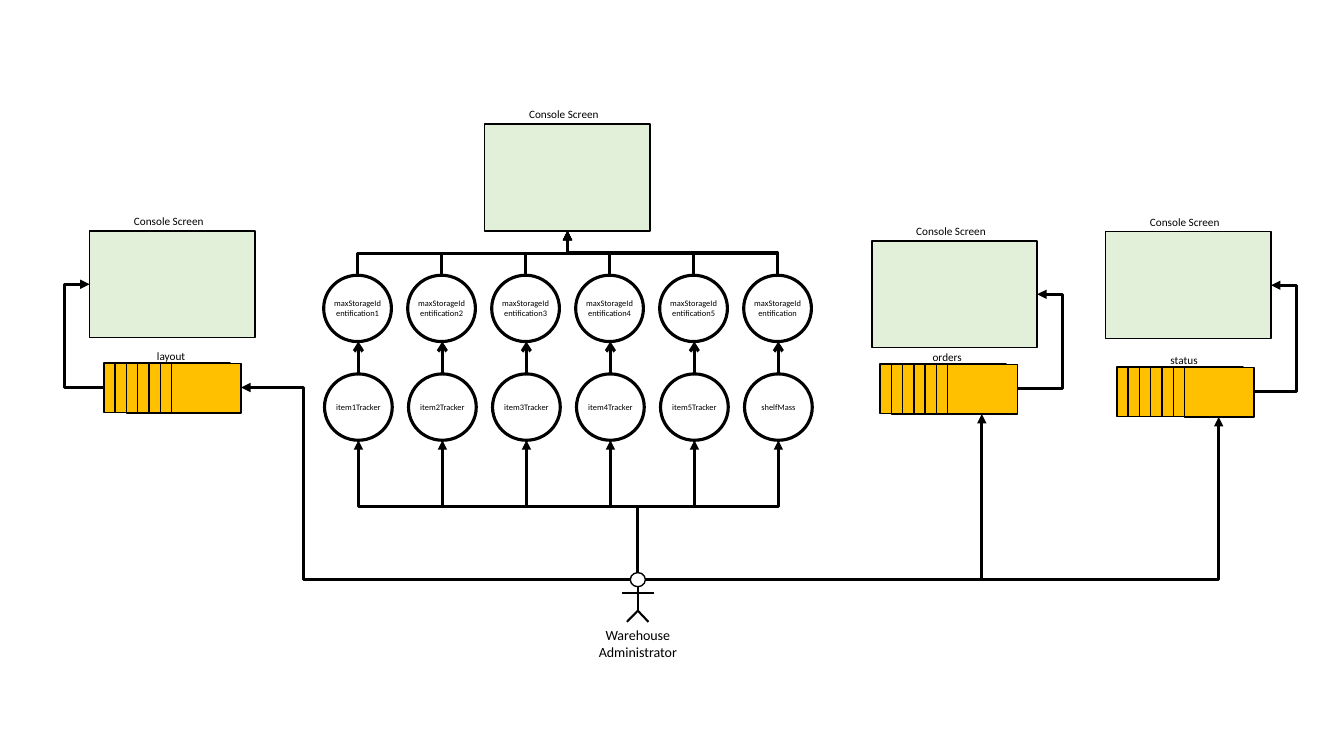
from dataclasses import dataclass

from lxml import etree
from pptx import Presentation
from pptx.dml.color import RGBColor
from pptx.enum import shapes, text
from pptx.oxml import ns
from pptx.util import Pt

BLACK = RGBColor(0x00, 0x00, 0x00)
AMBER = RGBColor(0xFF, 0xC0, 0x00)
PALE_GREEN = RGBColor(0xE2, 0xF0, 0xD9)
FONT = "Calibri"
RECTANGLE = shapes.MSO_SHAPE.RECTANGLE
OVAL = shapes.MSO_SHAPE.OVAL
Point = tuple[float, float]

SCREEN_WIDTH, SCREEN_HEIGHT = 118.1, 76.3
CARD_STEP, CARD_HEIGHT = 8.06, 35.3
CARD_WIDTHS = (62.6, 49.7, 62.6, 49.7, 49.7, 49.7, 49.7)
QUEUE_WIDTH = 6 * CARD_STEP + CARD_WIDTHS[-1]
CIRCLE_WIDTH, CIRCLE_HEIGHT = 48.4, 47.4
COLUMN_STEP = 60
MAXIMUM_TOP, TRACKER_TOP = 196.6, 267.1
THICK = 2.25


@dataclass(frozen=True)
class Station:
    name: str
    queue: Point
    screen: Point
    lowered_cards: tuple[int, ...]
    side: int  # side on which the queue feeds its screen: -1 left, 1 right


@dataclass(frozen=True)
class Column:
    tracker: str
    maximum: str


STATIONS = (
    Station("layout", (74.2, 259.2), (64.1, 164.9), (2, 6), -1),
    Station("status", (797.8, 262.1), (789.8, 165.6), (6,), 1),
    Station("orders", (628.6, 260), (622.8, 172.1), (1, 2, 4, 6), 1),
)
COLUMNS = [Column(f"item{n}Tracker", f"maxStorageIdentification{n}") for n in range(1, 6)]
COLUMNS.append(Column("shelfMass", "maxStorageIdentification"))

deck = Presentation()
deck.slide_width, deck.slide_height = Pt(960), Pt(540)
page = deck.slides.add_slide(deck.slide_layouts[6])


def add_label(words: str, left: float, top: float, width: float, height: float, size: float) -> None:
    box = page.shapes.add_textbox(Pt(left), Pt(top), Pt(width), Pt(height))
    box.text_frame.word_wrap = True
    para = box.text_frame.paragraphs[0]
    para.text = words
    para.alignment = text.PP_ALIGN.CENTER
    para.font.name, para.font.size = FONT, Pt(size)
    para.font.color.rgb = BLACK


def add_outline(kind, left: float, top: float, width: float, height: float,
                weight: float = 1, fill: RGBColor | None = None) -> None:
    shape = page.shapes.add_shape(kind, Pt(left), Pt(top), Pt(width), Pt(height))
    shape.shadow.inherit = False
    if fill is None:
        shape.fill.background()
    else:
        shape.fill.solid()
        shape.fill.fore_color.rgb = fill
    shape.line.color.rgb = BLACK
    shape.line.width = Pt(weight)


def add_line(start: Point, end: Point, weight: float = THICK, arrow: str | None = None,
             kind=shapes.MSO_CONNECTOR.STRAIGHT):
    line = page.shapes.add_connector(kind, *(Pt(value) for value in (*start, *end)))
    line.line.color.rgb = BLACK
    line.line.width = Pt(weight)
    properties = line.element.spPr
    if arrow:
        etree.SubElement(properties.find(ns.qn("a:ln")), ns.qn("a:tailEnd"), type=arrow)
    etree.SubElement(properties, ns.qn("a:effectLst"))
    return line


def add_elbow(start: Point, end: Point, bend: float | None = None):
    """Leave sideways, turning at the x position bend."""
    line = add_line(start, end, arrow="triangle", kind=shapes.MSO_CONNECTOR.ELBOW)
    if bend is not None:
        share = (bend - start[0]) / (end[0] - start[0])
        guides = line.element.spPr.find(f".//{ns.qn('a:avLst')}")
        etree.SubElement(guides, ns.qn("a:gd"), name="adj1", fmla=f"val {round(share * 100000)}")
    return line


def add_corner(start: Point, end: Point) -> None:
    """Leave sideways and turn once, straight to the end."""
    geometry = add_elbow(start, end).element.spPr.find(ns.qn("a:prstGeom"))
    geometry.set("prst", "bentConnector2")


def add_riser(start: Point, end: Point) -> None:
    """Leave upwards, turning halfway: an elbow rotated by 270 degrees."""
    middle_x, middle_y = (start[0] + end[0]) / 2, (start[1] + end[1]) / 2
    half_rise, half_run = (start[1] - end[1]) / 2, (end[0] - start[0]) / 2
    line = add_elbow((middle_x - half_rise, middle_y - half_run),
                     (middle_x + half_rise, middle_y + half_run))
    line.element.spPr.find(ns.qn("a:xfrm")).set("rot", "16200000")


def add_screen(left: float, top: float) -> None:
    add_outline(RECTANGLE, left, top, SCREEN_WIDTH, SCREEN_HEIGHT, fill=PALE_GREEN)
    add_label("Console Screen", left - 4, top - 15.5, 121, 17, 8)


def add_station(station: Station) -> None:
    left, top = station.queue
    for index, width in enumerate(CARD_WIDTHS):
        drop = 0.5 if index in station.lowered_cards else 0
        add_outline(RECTANGLE, left + index * CARD_STEP, top + drop, width, CARD_HEIGHT, fill=AMBER)
    add_label(station.name, left - 12.5, top - 13, 121, 17, 8)
    add_screen(*station.screen)
    on_right = station.side > 0
    screen_edge = station.screen[0] + (SCREEN_WIDTH if on_right else 0)
    add_elbow((left + (QUEUE_WIDTH if on_right else 0), top + CARD_HEIGHT / 2),
              (screen_edge, station.screen[1] + SCREEN_HEIGHT / 2),
              screen_edge + 18 * station.side)


# Warehouse administrator
person_x, head_top, head_width, head_height = 455.6, 409, 10.8, 10.1
head_middle = head_top + head_height / 2
add_outline(OVAL, person_x - head_width / 2, head_top, head_width, head_height)
for limb in (((444.3, 423.4), (466.9, 423.4)),
             ((person_x, 419.5), (person_x, 436.2)),
             ((person_x, 436.2), (447.8, 444.2)),
             ((person_x, 436.2), (463.2, 444.2))):
    add_line(*limb, weight=1.5)
add_label("Warehouse Administrator", 416.7, 444.2, 77.8, 31.7, 10)

# Queues with their screens, fed by the administrator
for station in STATIONS:
    add_station(station)
    queue_left, queue_top = station.queue
    if station.side < 0:
        add_elbow((person_x - head_width / 2, head_middle),
                  (queue_left + QUEUE_WIDTH, queue_top + CARD_HEIGHT / 2), 216.7)
    else:
        add_corner((person_x + head_width / 2, head_middle),
                   (queue_left + 72.7, queue_top + CARD_HEIGHT + 0.5))

# Tracker columns, rising to the central screen
central_left, central_top = 346.3, 88.6
add_screen(central_left, central_top)
screen_foot = (central_left + SCREEN_WIDTH / 2, central_top + SCREEN_HEIGHT)
for index, column in enumerate(COLUMNS):
    maximum_x = 255.4 + index * COLUMN_STEP
    tracker_x = maximum_x + 0.6
    for center, top in ((maximum_x, MAXIMUM_TOP), (tracker_x, TRACKER_TOP)):
        add_outline(OVAL, center - CIRCLE_WIDTH / 2, top, CIRCLE_WIDTH, CIRCLE_HEIGHT, THICK)
    add_label(column.maximum, maximum_x - 24.2, 209.6, 48.4, 20.9, 6)
    add_label(column.tracker, tracker_x - 27, 283.8, 54, 13.6, 6)
    add_line((tracker_x, TRACKER_TOP), (tracker_x, MAXIMUM_TOP + CIRCLE_HEIGHT), arrow="arrow")
    add_riser((maximum_x, MAXIMUM_TOP), screen_foot)
    add_riser((person_x, head_top), (tracker_x, TRACKER_TOP + CIRCLE_HEIGHT))

deck.save("out.pptx")
